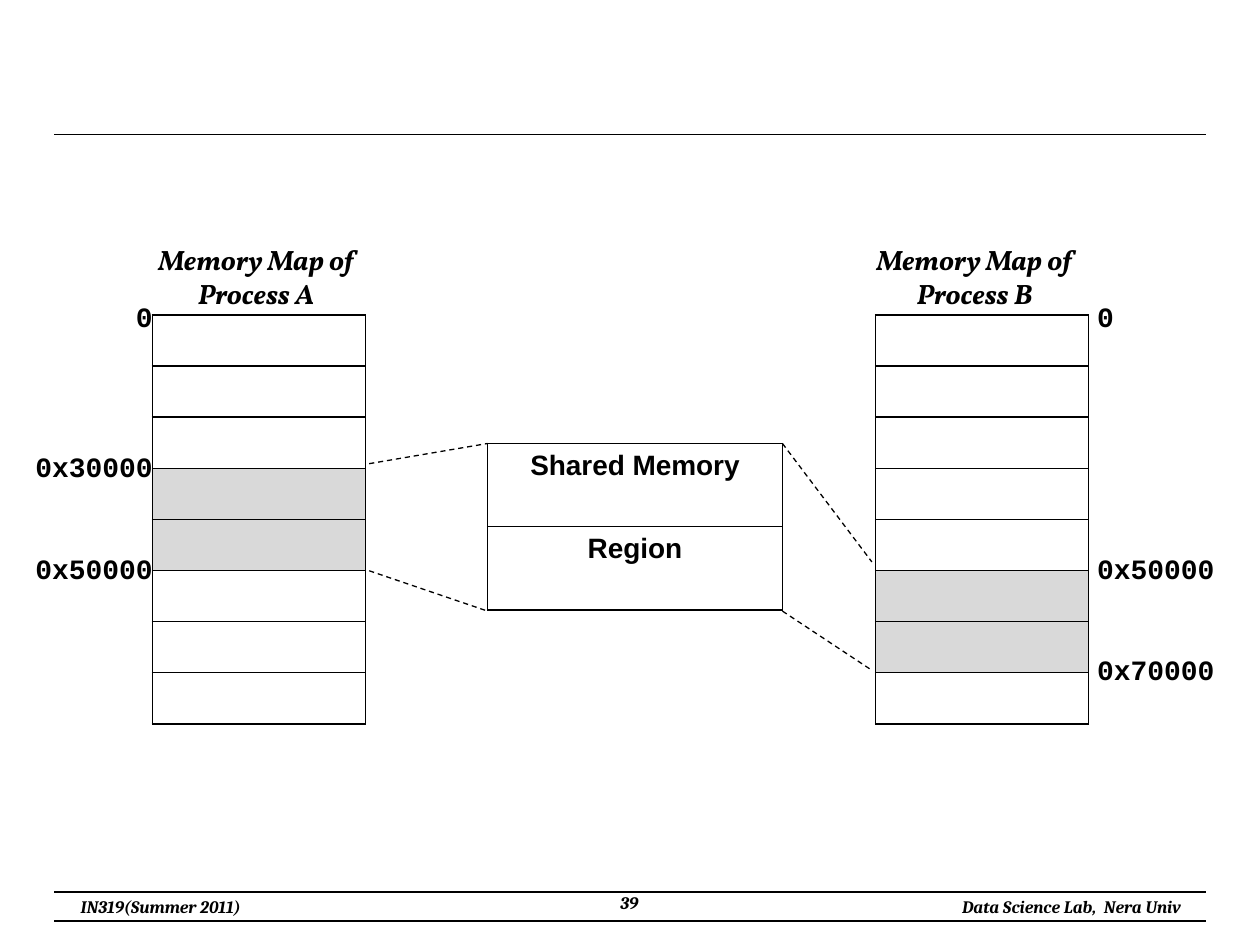
from lxml.etree import SubElement as Sub
from pptx import Presentation
from pptx.dml.color import RGBColor as Rgb
from pptx.enum.dml import MSO_LINE as Dash
from pptx.enum.shapes import MSO_CONNECTOR as Conn
from pptx.enum.text import PP_ALIGN as Align
from pptx.oxml.ns import qn
from pptx.util import Inches, Pt

INK = {"black": "000000", "white": "FFFFFF", "grey": "D9D9D9"}
FONTS = {
    "foot": {"name": "Cambria", "size": Pt(10), "bold": True, "italic": True},
    "head": {"name": "Vollkorn", "size": Pt(16), "bold": True, "italic": True},
    "code": {"name": "Courier New", "size": Pt(16), "bold": True},
    "cell": {"name": "Arial", "size": Pt(16), "bold": True},
}


def write(frame, text, kind, align):
    """Put one styled paragraph into a text frame."""
    para = frame.paragraphs[0]
    para.alignment = align
    run = para.add_run()
    run.text = text
    for key, val in FONTS[kind].items():
        setattr(run.font, key, val)
    run.font.color.rgb = Rgb.from_string(INK["black"])


def grid(left, top, width, high, rows):
    """Add a bordered one-column table from (text, fill) rows."""
    box = [Inches(v) for v in (left, top, width, high * len(rows))]
    table = slide.shapes.add_table(len(rows), 1, *box).table
    table.first_row = table.horz_banding = False
    for i, (text, fill) in enumerate(rows):
        table.rows[i].height = Inches(high)
        cell = table.cell(i, 0)
        props = cell._tc.get_or_add_tcPr()
        for side in ("lnL", "lnR", "lnT", "lnB"):
            edge = Sub(props, qn("a:" + side), w=str(Pt(1)))
            paint = Sub(edge, qn("a:solidFill"))
            Sub(paint, qn("a:srgbClr"), val=INK["black"])
        cell.fill.solid()
        cell.fill.fore_color.rgb = Rgb.from_string(INK[fill])
        if text:
            write(cell.text_frame, text, "cell", Align.CENTER)


deck = Presentation()
deck.slide_width, deck.slide_height = Inches(10), Inches(7.5)
slide = deck.slides.add_slide(deck.slide_layouts[6])

# Memory maps: left edge and the rows that are shared
for left, shared in ((1.21, (3, 4)), (6.95, (5, 6))):
    rows = [("", "grey" if i in shared else "white") for i in range(8)]
    grid(left, 2.5, 1.69, 0.37, rows)
grid(3.87, 3.52, 2.34, 0.66, [("Shared Memory", "white"), ("Region", "white")])

# Page rules, then the dashed links to the shared region
rules = [(0.43, y, 9.57, y, None) for y in (1.07, 7.08, 7.31)]
links = [
    (2.93, 3.68, 3.87, 3.52, Dash.DASH),
    (2.93, 4.53, 3.87, 4.85, Dash.DASH),
    (6.21, 3.52, 6.92, 4.46, Dash.DASH),
    (6.21, 4.85, 6.92, 5.32, Dash.DASH),
]
for *ends, dash in rules + links:
    line = slide.shapes.add_connector(Conn.STRAIGHT, *map(Inches, ends))
    line.line.width = Pt(0.75)
    line.line.color.rgb = Rgb.from_string(INK["black"])
    if dash:
        line.line.dash_style = dash
    Sub(line._element.spPr, qn("a:effectLst"))

# Labels: left, top, width, height, wrap, text, font, alignment
labels = [
    (0.41, 7.06, 1.73, 0.27, False, "IN319(Summer 2011)", "foot", Align.CENTER),
    (3.83, 7.03, 2.33, 0.31, True, "39", "foot", Align.CENTER),
    (7.16, 7.06, 2.31, 0.27, False, "Data Science Lab,  Nera Univ", "foot", Align.RIGHT),
]
for left, name in ((0.9, "A"), (6.6, "B")):
    text = "Memory Map of Process " + name
    labels.append((left, 1.88, 2.27, 0.64, True, text, "head", Align.CENTER))
for top, text in ((2.33, "0"), (3.52, "0x30000"), (4.33, "0x50000")):
    width = 0.34 if text == "0" else 1.15
    labels.append((1.31 - width, top, width, 0.37, False, text, "code", Align.RIGHT))
for top, text in ((2.33, "0"), (4.33, "0x50000"), (5.13, "0x70000")):
    width = 0.34 if text == "0" else 1.15
    labels.append((8.61, top, width, 0.37, False, text, "code", Align.LEFT))
for *box, wrap, text, kind, align in labels:
    frame = slide.shapes.add_textbox(*map(Inches, box)).text_frame
    frame.word_wrap = wrap
    write(frame, text, kind, align)

deck.save("out.pptx")
